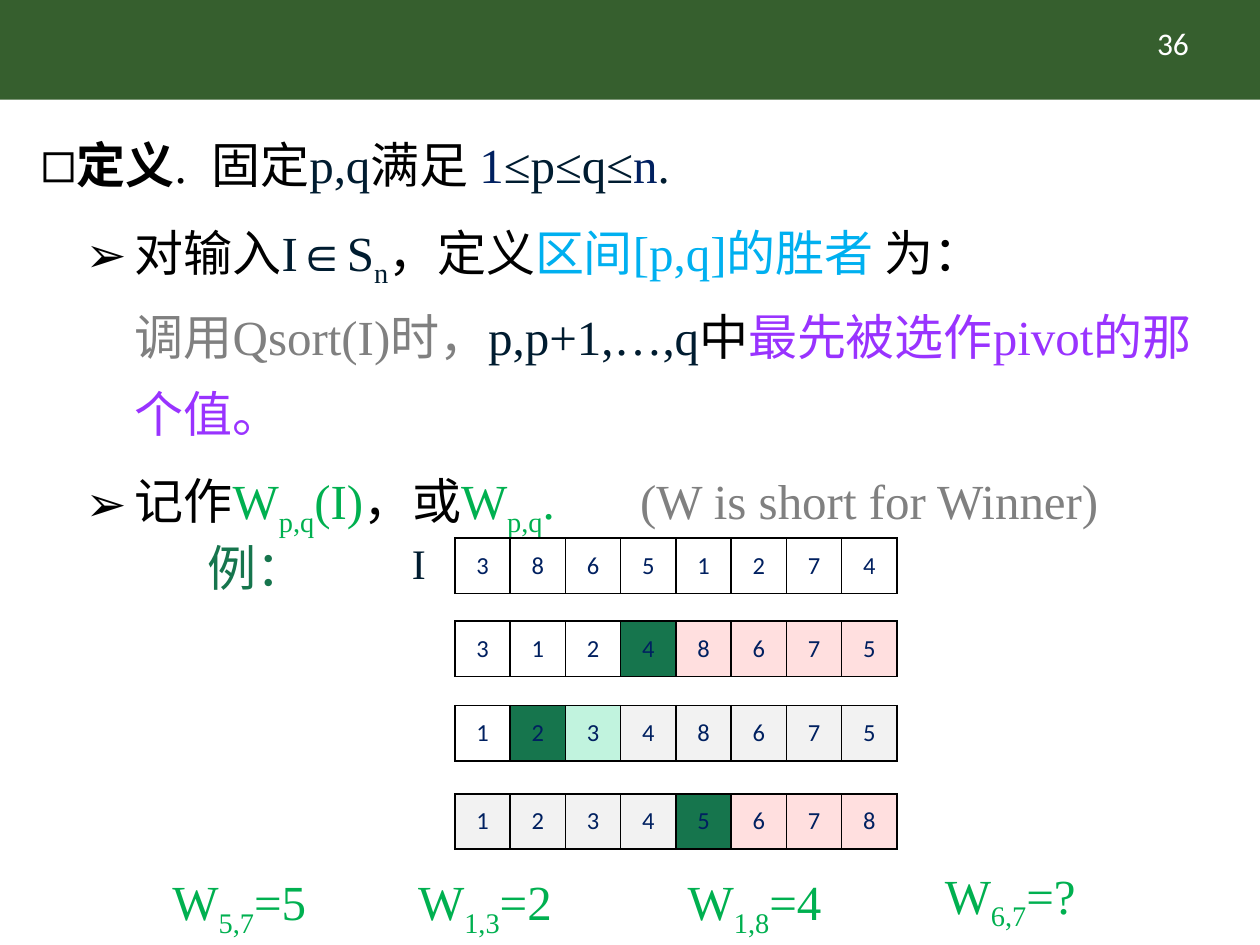
from dataclasses import dataclass

from lxml import etree
from pptx import Presentation
from pptx.dml.color import RGBColor
from pptx.enum.shapes import MSO_SHAPE
from pptx.enum.text import MSO_ANCHOR, MSO_AUTO_SIZE, PP_ALIGN
from pptx.oxml.ns import qn
from pptx.util import Inches, Pt

RECT = MSO_SHAPE.RECTANGLE
MIDDLE = MSO_ANCHOR.MIDDLE
CENTER = PP_ALIGN.CENTER
NO_FIT = MSO_AUTO_SIZE.NONE
GROW = MSO_AUTO_SIZE.SHAPE_TO_FIT_TEXT

BLACK = RGBColor(0x00, 0x00, 0x00)
WHITE = RGBColor(0xFF, 0xFF, 0xFF)
HEADER = RGBColor(0x36, 0x5F, 0x2E)
INK = RGBColor(0x00, 0x1C, 0x30)
NAVY = RGBColor(0x00, 0x20, 0x60)
SKY = RGBColor(0x00, 0xB0, 0xF0)
GRAY = RGBColor(0x80, 0x80, 0x80)
PURPLE = RGBColor(0x99, 0x33, 0xFF)
GREEN = RGBColor(0x00, 0xB0, 0x50)
PIVOT = RGBColor(0x16, 0x75, 0x4D)
MINT = RGBColor(0xC1, 0xF3, 0xDE)
PINK = RGBColor(0xFF, 0xDF, 0xDF)
DONE = RGBColor(0xF2, 0xF2, 0xF2)

SERIF = "Times New Roman"
SANS = "Calibri"
CELL = 0.44
ARRAY_LEFT = 3.61
ARRAY_WIDTH = 3.51


@dataclass
class Span:
    text: str
    color: RGBColor = BLACK
    bold: bool = False
    sub: bool = False


@dataclass
class Item:
    spans: list[Span]
    level: int = 1
    bullet: str = "➢"
    bullet_size: int = 100
    margin: float = 0.75
    before: int = 5
    tab: float = 0


@dataclass
class Array:
    top: float
    values: str
    fills: list[RGBColor]


@dataclass
class Winner:
    left: float
    top: float
    width: float
    interval: str
    value: str


ITEMS = [
    Item([Span("定义", bold=True), Span(".  固定"), Span("p,q", INK), Span("满足 "),
          Span("1", NAVY), Span("≤p≤q≤", INK), Span("n", NAVY), Span(".", INK)],
         level=0, bullet="◻", bullet_size=120, margin=0.25, before=0),
    Item([Span("对输入"), Span("I∈S", INK), Span("n", INK, sub=True), Span("，定义"),
          Span("区间[p,q]的胜者 ", SKY), Span("为：\n"), Span("调用Qsort(I)时，", GRAY),
          Span("p,p+1,…,q", INK), Span("中"), Span("最先被选作pivot的那个值。", PURPLE)]),
    Item([Span("记作"), Span("W", GREEN), Span("p,q", GREEN, sub=True), Span("(I)", GREEN),
          Span("，或"), Span("W", GREEN), Span("p,q", GREEN, sub=True), Span(".\t", GREEN),
          Span("(W is short for Winner)", GRAY)], tab=4.76),
]

ARRAYS = [
    Array(4.27, "38651274", [WHITE] * 8),
    Array(4.93, "31248675", [WHITE] * 3 + [PIVOT] + [PINK] * 4),
    Array(5.6, "12348675", [WHITE, PIVOT, MINT] + [DONE] * 5),
    Array(6.3, "12345678", [DONE] * 4 + [PIVOT] + [PINK] * 3),
]

WINNERS = [
    Winner(1.27, 6.87, 1.41, "5,7", "5"),
    Winner(3.22, 6.87, 1.48, "1,3", "2"),
    Winner(5.36, 6.87, 1.37, "1,8", "4"),
    Winner(7.4, 6.82, 1.31, "6,7", "?"),
]


def add_text(p, text: str, *, size: int = 28, font: str = SERIF, color: RGBColor = BLACK,
             bold: bool = False, sub: bool = False) -> None:
    for i, part in enumerate(text.split("\n")):
        if i:
            p.add_line_break()
        if not part:
            continue
        r = p.add_run()
        r.text = part
        r.font.size = Pt(size)
        r.font.name = font
        r.font.bold = bold
        r.font.color.rgb = color
        if sub:
            r.font._element.set("baseline", "-25000")


def add_box(slide, left: float, top: float, width: float, height: float,
            wrap: bool = True, fit=GROW):
    tf = slide.shapes.add_textbox(
        Inches(left), Inches(top), Inches(width), Inches(height)).text_frame
    tf.word_wrap = wrap
    tf.auto_size = fit
    return tf.paragraphs[0]


def add_item(p, item: Item) -> None:
    p.level = item.level
    pPr = p._p.get_or_add_pPr()
    pPr.set("marL", str(Inches(item.margin)))
    pPr.set("indent", str(Inches(-0.39)))
    clr = etree.SubElement(pPr, qn("a:buClr"))
    etree.SubElement(clr, qn("a:srgbClr"), val=str(BLACK))
    etree.SubElement(pPr, qn("a:buSzPct"), val=str(item.bullet_size * 1000))
    etree.SubElement(pPr, qn("a:buChar"), char=item.bullet)
    if item.tab:
        tabs = etree.SubElement(pPr, qn("a:tabLst"))
        etree.SubElement(tabs, qn("a:tab"), pos=str(Inches(item.tab)), algn="l")
    p.line_spacing = 1.3
    p.space_before = Pt(item.before)
    for span in item.spans:
        add_text(p, span.text, color=span.color, bold=span.bold, sub=span.sub)


def add_borders(cell) -> None:
    tcPr = cell._tc.get_or_add_tcPr()
    for side in ("lnL", "lnR", "lnT", "lnB"):
        ln = etree.SubElement(tcPr, qn(f"a:{side}"), w=str(Pt(1)))
        fill = etree.SubElement(ln, qn("a:solidFill"))
        etree.SubElement(fill, qn("a:srgbClr"), val=str(BLACK))


def add_array(slide, array: Array) -> None:
    count = len(array.values)
    table = slide.shapes.add_table(1, count, Inches(ARRAY_LEFT), Inches(array.top),
                                   Inches(ARRAY_WIDTH), Inches(CELL)).table
    table.first_row = False
    table.horz_banding = False
    for i, (value, fill) in enumerate(zip(array.values, array.fills)):
        cell = table.cell(0, i)
        add_borders(cell)
        cell.fill.solid()
        cell.fill.fore_color.rgb = fill
        cell.vertical_anchor = MIDDLE
        cell.margin_left = cell.margin_right = Inches(0.08)
        cell.margin_top = cell.margin_bottom = Inches(0.04)
        p = cell.text_frame.paragraphs[0]
        p.alignment = CENTER
        add_text(p, value, size=14, font=SANS, color=NAVY)


def add_winner(slide, winner: Winner) -> None:
    p = add_box(slide, winner.left, winner.top, winner.width, 0.57)
    add_text(p, "W", color=GREEN)
    add_text(p, winner.interval, color=GREEN, sub=True)
    add_text(p, f"={winner.value}", color=GREEN)


def main() -> None:
    prs = Presentation()
    prs.slide_width, prs.slide_height = Inches(10), Inches(7.5)
    slide = prs.slides.add_slide(prs.slide_layouts[1])
    title = slide.shapes.title._element
    title.getparent().remove(title)

    body = slide.placeholders[1]
    body.left, body.top = Inches(0.22), Inches(0.88)
    body.width, body.height = Inches(9.57), Inches(6.47)
    tf = body.text_frame
    tf.auto_size = NO_FIT
    for i, item in enumerate(ITEMS):
        add_item(tf.add_paragraph() if i else tf.paragraphs[0], item)

    sp = slide.shapes.add_shape(RECT, 0, 0, prs.slide_width, Inches(0.79))
    sp.shadow.inherit = False
    sp.fill.solid()
    sp.fill.fore_color.rgb = HEADER
    sp.line.fill.background()
    for array in ARRAYS:
        add_array(slide, array)
    add_text(add_box(slide, 3.17, 4.22, 0.31, 0.5, wrap=False), "I", size=24, color=INK)
    add_text(add_box(slide, 1.55, 4.22, 1.03, 0.57), "例：", font=SANS, color=PIVOT)
    for winner in WINNERS:
        add_winner(slide, winner)
    p = add_box(slide, 8.71, 0.14, 1.2, 0.4, fit=NO_FIT)
    p.alignment = CENTER
    add_text(p, "36", size=18, font=SANS, color=WHITE)
    prs.save("out.pptx")


if __name__ == "__main__":
    main()
